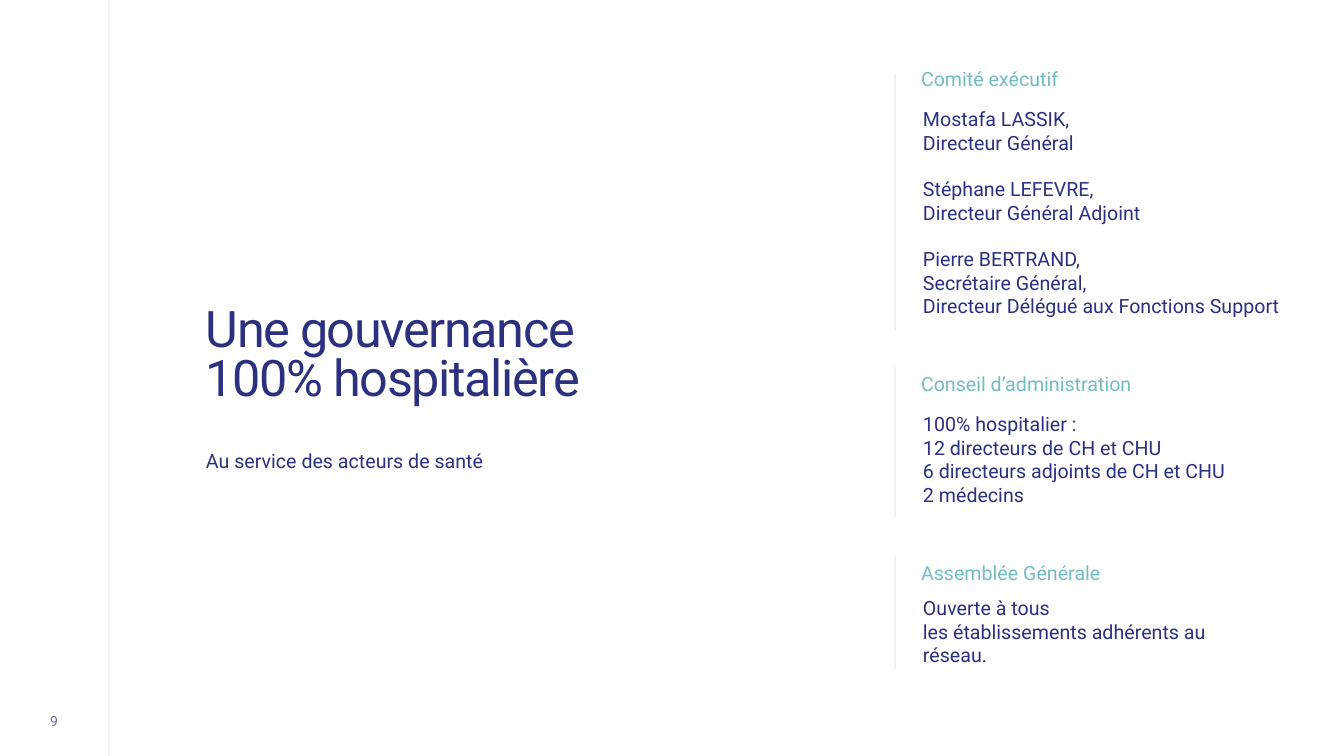
from dataclasses import dataclass

from lxml import etree
from pptx import Presentation
from pptx import util as u
from pptx.dml.color import RGBColor
from pptx.enum import shapes, text
from pptx.oxml.ns import qn

TITLE = "Une gouvernance 100% hospitalière"
SUBTITLE = "Au service des acteurs de santé"
PAGE = "9"

# Each body is a list of groups; a gap of one line separates the groups.
SECTIONS = [
    dict(heading="Comité exécutif", heading_y=62, rule=(74, 331),
         body_y=102, body_w=380,
         groups=[["Mostafa LASSIK,", "Directeur Général"],
                 ["Stéphane LEFEVRE,", "Directeur Général Adjoint"],
                 ["Pierre BERTRAND,", "Secrétaire Général,",
                  "Directeur Délégué aux Fonctions Support"]]),
    dict(heading="Conseil d’administration", heading_y=367, rule=(367, 517),
         body_y=407, body_w=336,
         groups=[["100% hospitalier :", "12 directeurs de CH et CHU",
                  "6 directeurs adjoints de CH et CHU", "2 médecins"]]),
    dict(heading="Assemblée Générale", heading_y=556, rule=(556, 669),
         body_y=591, body_w=336,
         groups=[["Ouverte à tous", "les établissements adhérents au réseau."]]),
]


@dataclass(frozen=True)
class Theme:
    font: str = "Roboto"
    navy: str = "2B307F"
    teal: str = "71BDBF"
    title: int = 36
    body: int = 14
    page: int = 10
    rule: float = 0.5
    group_gap: float = 16.4
    rule_alpha: int = 20
    page_alpha: int = 70


THEME = Theme()
SLIDE_W, SLIDE_H = 1344, 756
MARGIN_X, RULE_X, HEADING_X, BODY_X, LEFT_X = 109, 895, 911, 923, 206


def px(n):
    return u.Emu(round(n * 914400 / 100.8))


def set_alpha(fill, percent):
    """Make the solid colour in a fill's parent element partly transparent."""
    color = fill.find(".//" + qn("a:srgbClr"))
    etree.SubElement(color, qn("a:alpha")).set("val", str(percent * 1000))


def add_rule(slide, x, top, bottom):
    rule = slide.shapes.add_connector(
        shapes.MSO_CONNECTOR.STRAIGHT, px(x), px(top), px(x), px(bottom))
    rule.line.width = u.Pt(THEME.rule)
    rule.line.color.rgb = RGBColor.from_string(THEME.navy)
    properties = rule._element.spPr
    set_alpha(properties, THEME.rule_alpha)
    etree.SubElement(properties, qn("a:effectLst"))


def add_text(slide, box, groups, size, color, insets=(0, 5, 0, 5), spacing=None):
    """Place groups of lines in a box; insets run left, top, right, bottom."""
    frame = slide.shapes.add_textbox(*map(px, box)).text_frame
    frame.word_wrap = True
    (frame.margin_left, frame.margin_top,
     frame.margin_right, frame.margin_bottom) = map(px, insets)
    frame.text = "\n".join(line for group in groups for line in group)
    for paragraph in frame.paragraphs:
        paragraph.line_spacing = spacing
        for run in paragraph.runs:
            run.font.name = THEME.font
            run.font.size = u.Pt(size)
            run.font.color.rgb = RGBColor.from_string(color)
    start = 0
    for group in groups[:-1]:
        start += len(group)
        frame.paragraphs[start].space_before = u.Pt(THEME.group_gap)
    return frame


def add_section(slide, section):
    add_rule(slide, RULE_X, *section["rule"])
    add_text(slide, (HEADING_X, section["heading_y"], 291, 34),
             [[section["heading"]]], THEME.body, THEME.teal, (10, 5, 10, 5))
    line_count = sum(map(len, section["groups"])) + len(section["groups"]) - 1
    add_text(slide, (BODY_X, section["body_y"], section["body_w"], 24 * line_count),
             section["groups"], THEME.body, THEME.navy)


def main():
    deck = Presentation()
    deck.slide_width, deck.slide_height = px(SLIDE_W), px(SLIDE_H)
    slide = deck.slides.add_slide(deck.slide_layouts[6])

    add_rule(slide, MARGIN_X, 0, SLIDE_H)
    page = add_text(slide, (26, 708, 56, 25), [[PAGE]], THEME.page, THEME.navy,
                    (0, 0, 0, 0))
    page.vertical_anchor = text.MSO_ANCHOR.MIDDLE
    page.paragraphs[0].alignment = text.PP_ALIGN.CENTER
    set_alpha(page.paragraphs[0].runs[0]._r, THEME.page_alpha)

    title = add_text(slide, (LEFT_X, 288, 466, 178), [[TITLE]], THEME.title,
                     THEME.navy, (0, 21, 0, 0), 0.8)
    title.paragraphs[0].runs[0]._r.get_or_add_rPr().set("spc", "-100")
    add_text(slide, (LEFT_X, 439, 372, 236), [[SUBTITLE]], THEME.body,
             THEME.navy, spacing=1.2)

    for section in SECTIONS:
        add_section(slide, section)
    deck.save("out.pptx")


if __name__ == "__main__":
    main()
